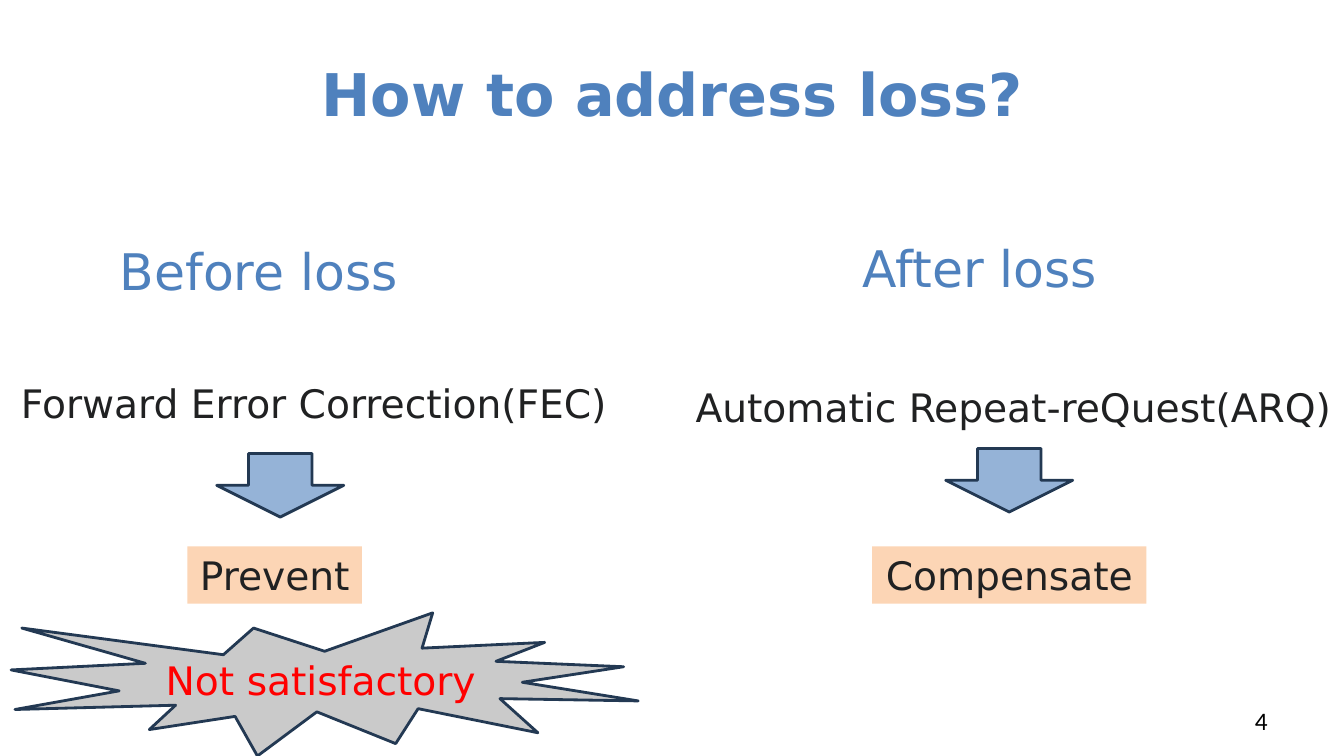
"""Build the slide on addressing loss before and after it happens."""
from dataclasses import dataclass

from lxml import etree
from pptx import Presentation
from pptx.dml.color import RGBColor
from pptx.enum.shapes import MSO_SHAPE
from pptx.enum.text import MSO_ANCHOR, PP_ALIGN
from pptx.oxml.ns import qn
from pptx.util import Inches, Pt

LEFT, CENTER, RIGHT = PP_ALIGN.LEFT, PP_ALIGN.CENTER, PP_ALIGN.RIGHT
TOP, MIDDLE = MSO_ANCHOR.TOP, MSO_ANCHOR.MIDDLE
ARROW, RECTANGLE = MSO_SHAPE.DOWN_ARROW, MSO_SHAPE.RECTANGLE
BURST = MSO_SHAPE.EXPLOSION1
TITLE_ONLY = 5

BLUE, INK, RED, BLACK = "4F81BD", "202122", "FF0000", "000000"
ARROW_BLUE, PEACH, GRAY, NAVY = "95B3D7", "FCD5B5", "808080", "233953"


@dataclass
class Box:
    """A place on the slide, in inches."""
    left: float
    top: float
    width: float
    height: float

    def lengths(self):
        """Return left, top, width and height as lengths."""
        return [Inches(value) for value in (self.left, self.top, self.width, self.height)]


@dataclass
class Label:
    """A line of text and its format."""
    text: str
    size: float = 28
    color: str = INK
    align: PP_ALIGN = LEFT
    anchor: MSO_ANCHOR = TOP
    font: str = "DejaVu Sans"
    bold: bool = False


@dataclass
class Column:
    """One way of addressing loss, from heading to outcome."""
    heading: str
    heading_box: Box
    method: str
    method_box: Box
    arrow_box: Box
    outcome: str
    outcome_box: Box


COLUMNS = [
    Column("Before loss", Box(1.09, 2.33, 3.39, 0.71),
           "Forward Error Correction(FEC)", Box(0.11, 3.71, 6.6, 0.57),
           Box(2.15, 4.5, 1.26, 0.63), "Prevent", Box(1.86, 5.42, 1.73, 0.57)),
    Column("After loss", Box(8.46, 2.3, 3.1, 0.71),
           "Automatic Repeat-reQuest(ARQ)", Box(6.8, 3.75, 6.91, 0.57),
           Box(9.38, 4.45, 1.26, 0.63), "Compensate", Box(8.65, 5.42, 2.72, 0.57)),
]


def rgb(color: str) -> RGBColor:
    """Turn a hex string into a colour."""
    return RGBColor.from_string(color)


def write(shape, label: Label) -> None:
    """Put a formatted label into a shape."""
    frame = shape.text_frame
    frame.word_wrap = True
    frame.vertical_anchor = label.anchor
    paragraph = frame.paragraphs[0]
    paragraph.alignment = label.align
    run = paragraph.add_run()
    run.text = label.text
    formats = {"name": label.font, "size": Pt(label.size), "bold": label.bold}
    for name, value in formats.items():
        setattr(run.font, name, value)
    run.font.color.rgb = rgb(label.color)


def add_text(slide, box: Box, label: Label) -> None:
    """Add a text box holding a label."""
    write(slide.shapes.add_textbox(*box.lengths()), label)


def add_shape(slide, kind: MSO_SHAPE, box: Box, fill: str, line: str = ""):
    """Add a filled shape, outlined when a line colour is given."""
    shape = slide.shapes.add_shape(kind, *box.lengths())
    shape.shadow.inherit = False
    shape.fill.solid()
    shape.fill.fore_color.rgb = rgb(fill)
    if line:
        shape.line.color.rgb = rgb(line)
        shape.line.width = Pt(2)
    else:
        shape.line.fill.background()
    return shape


def set_opacity(shape, percent: int) -> None:
    """Make the fill of a shape partly see-through."""
    color = shape.fill._xPr.find(qn("a:solidFill"))[0]
    etree.SubElement(color, qn("a:alpha")).set("val", str(percent * 1000))


def add_column(slide, column: Column) -> None:
    """Draw heading, method, arrow and outcome of a column."""
    add_text(slide, column.heading_box, Label(column.heading, 36, BLUE))
    add_text(slide, column.method_box, Label(column.method))
    add_shape(slide, ARROW, column.arrow_box, ARROW_BLUE, NAVY)
    outcome = add_shape(slide, RECTANGLE, column.outcome_box, PEACH)
    write(outcome, Label(column.outcome, align=CENTER))


def add_title(slide, box: Box, label: Label) -> None:
    """Move the title placeholder and fill it."""
    title = slide.shapes.title
    for name, value in zip(("left", "top", "width", "height"), box.lengths()):
        setattr(title, name, value)
    write(title, label)


def main() -> None:
    """Build and save the presentation."""
    presentation = Presentation()
    presentation.slide_width = Inches(13.33)
    presentation.slide_height = Inches(7.5)
    slide = presentation.slides.add_slide(presentation.slide_layouts[TITLE_ONLY])
    add_title(slide, Box(0.67, 0.3, 12, 1.25),
              Label("How to address loss?", 42, BLUE, CENTER, MIDDLE, bold=True))
    add_text(slide, Box(9.56, 6.95, 3.11, 0.4),
             Label("4", 18, BLACK, RIGHT, font="Calibri"))
    for column in COLUMNS:
        add_column(slide, column)
    burst = add_shape(slide, BURST, Box(0.11, 6.08, 6.22, 1.42), GRAY, NAVY)
    set_opacity(burst, 41)
    write(burst, Label("Not satisfactory", color=RED, align=CENTER, anchor=MIDDLE))
    presentation.save("out.pptx")


if __name__ == "__main__":
    main()
